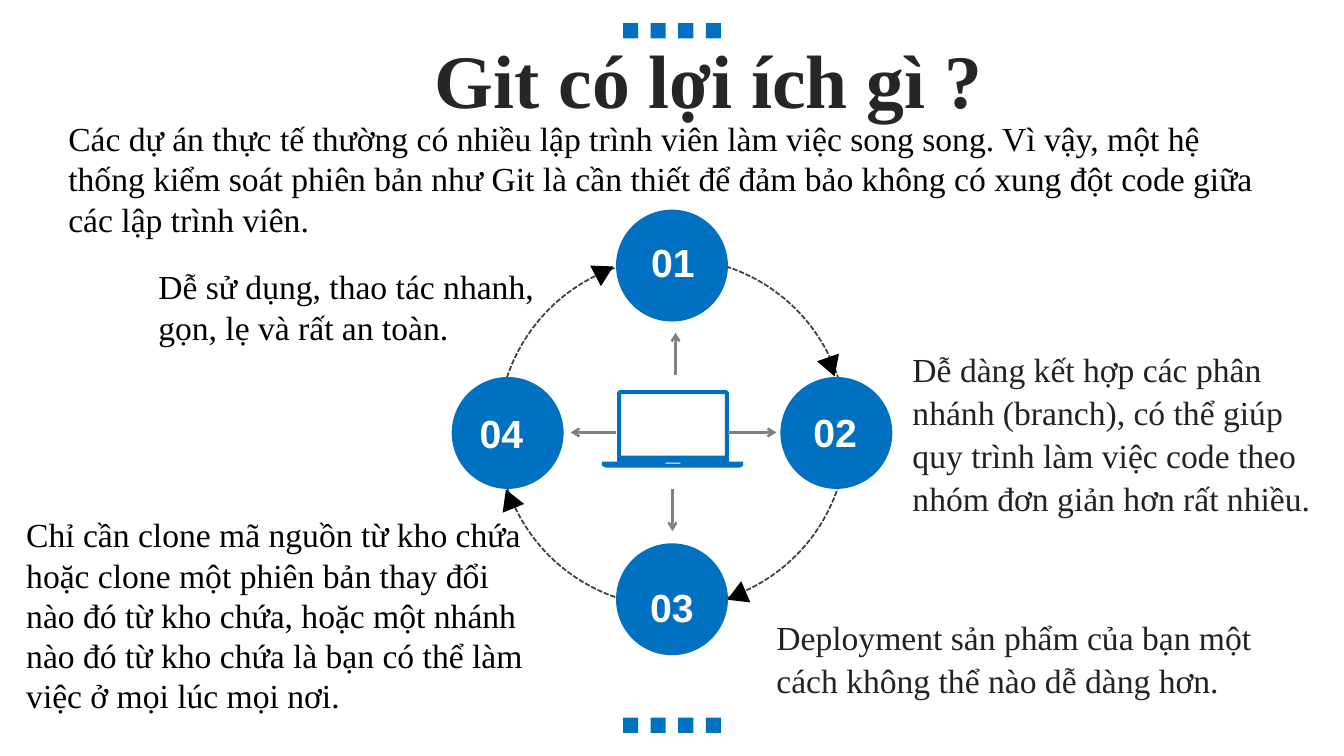
from dataclasses import dataclass

from lxml.etree import SubElement
from pptx import Presentation
from pptx.dml.color import RGBColor
from pptx.enum.dml import MSO_LINE
from pptx.enum.shapes import MSO_CONNECTOR, MSO_SHAPE
from pptx.enum.text import MSO_ANCHOR, PP_ALIGN
from pptx.oxml.ns import qn
from pptx.shapes.autoshape import Shape
from pptx.slide import Slide
from pptx.util import Inches, Pt

BLUE = "0070C0"
BLACK = "000000"
WHITE = "FFFFFF"
DARK = "222222"
SERIF = "Times New Roman"


@dataclass(frozen=True)
class TextBlock:
    text: str
    left: float
    top: float
    width: float
    height: float
    color: str = BLACK
    size: int = 24
    font: str = SERIF
    bold: bool = False
    inset: float = 0
    line_spacing: float = 1.0
    alignment: PP_ALIGN = PP_ALIGN.LEFT
    anchor: MSO_ANCHOR = MSO_ANCHOR.TOP


@dataclass(frozen=True)
class Step:
    number: str
    left: float
    top: float
    label_left: float
    label_top: float


@dataclass(frozen=True)
class RingArrowhead:
    left: float
    top: float
    rotation: float


@dataclass(frozen=True)
class Arrow:
    start: tuple[float, float]
    end: tuple[float, float]


STEPS = [
    Step("01", 6.11, 2.08, 6.36, 2.32),
    Step("02", 7.74, 3.74, 7.97, 4.0),
    Step("03", 6.11, 5.39, 6.35, 5.74),
    Step("04", 4.48, 3.74, 4.66, 4.01),
]

RING_ARROWHEADS = [
    RingArrowhead(5.88, 2.59, 62.3),
    RingArrowhead(8.13, 3.54, 160.7),
    RingArrowhead(7.19, 5.81, 246.7),
    RingArrowhead(4.94, 4.85, 338),
]

ARROWS = [
    Arrow((6.7, 3.72), (6.7, 3.3)),
    Arrow((6.67, 4.85), (6.67, 5.27)),
    Arrow((6.11, 4.29), (5.66, 4.29)),
    Arrow((7.22, 4.29), (7.7, 4.29)),
]

LAPTOP_BODY = [
    (6.15, 3.87), (7.2, 3.87), (7.22, 3.88), (7.23, 3.9), (7.23, 4.58),
    (7.37, 4.58), (7.37, 4.62), (7.34, 4.64), (6.01, 4.64), (5.97, 4.62),
    (5.97, 4.58), (6.12, 4.58), (6.12, 3.9), (6.13, 3.88),
]
LAPTOP_SCREEN = [(6.16, 3.91), (6.16, 4.52), (7.19, 4.52), (7.19, 3.91)]
LAPTOP_SLOT = [(6.6, 4.59), (6.6, 4.6), (6.75, 4.6), (6.75, 4.59)]

TEXT_BLOCKS = [
    TextBlock("Git có lợi ích gì ?", 0.7, 0.44, 12.66, 0.79, "262626", 54, bold=True,
              inset=0.1, line_spacing=0.9, alignment=PP_ALIGN.CENTER,
              anchor=MSO_ANCHOR.MIDDLE),
    TextBlock("Các dự án thực tế thường có nhiều lập trình viên làm việc song song. "
              "Vì vậy, một hệ thống kiểm soát phiên bản như Git là cần thiết để đảm bảo "
              "không có xung đột code giữa các lập trình viên.",
              0.58, 1.12, 12.24, 1.31, inset=0.1),
    TextBlock("Dễ sử dụng, thao tác nhanh, gọn, lẹ và rất an toàn.", 1.57, 2.64, 3.87, 0.81),
    TextBlock("Chỉ cần clone mã nguồn từ kho chứa hoặc clone một phiên bản thay đổi nào đó "
              "từ kho chứa, hoặc một nhánh nào đó từ kho chứa là bạn có thể làm việc ở mọi "
              "lúc mọi nơi.", 0.26, 5.1, 5.11, 2.02),
    TextBlock("Dễ dàng kết hợp các phân nhánh (branch), có thể giúp quy trình làm việc code "
              "theo nhóm đơn giản hơn rất nhiều.", 9.05, 3.43, 4.05, 1.73, DARK,
              line_spacing=1.07),
    TextBlock("Deployment sản phẩm của bạn một cách không thể nào dễ dàng hơn.",
              7.7, 6.09, 5.08, 0.86, DARK, line_spacing=1.07),
]


def rgb(color: str) -> RGBColor:
    return RGBColor.from_string(color)


def fill_plain(shape: Shape, color: str) -> None:
    shape.shadow.inherit = False
    shape.fill.solid()
    shape.fill.fore_color.rgb = rgb(color)
    shape.line.fill.background()


def add_filled(slide: Slide, kind: MSO_SHAPE, left: float, top: float,
               width: float, height: float, color: str) -> Shape:
    shape = slide.shapes.add_shape(
        kind, Inches(left), Inches(top), Inches(width), Inches(height))
    fill_plain(shape, color)
    return shape


def add_text(slide: Slide, block: TextBlock) -> None:
    shape = slide.shapes.add_textbox(
        Inches(block.left), Inches(block.top), Inches(block.width), Inches(block.height))
    frame = shape.text_frame
    frame.word_wrap = True
    frame.vertical_anchor = block.anchor
    frame.margin_left = frame.margin_right = Inches(block.inset)
    frame.margin_top = frame.margin_bottom = Inches(block.inset / 2)
    paragraph = frame.paragraphs[0]
    paragraph.text = block.text
    paragraph.alignment = block.alignment
    paragraph.line_spacing = block.line_spacing
    paragraph.font.name = block.font
    paragraph.font.size = Pt(block.size)
    paragraph.font.bold = block.bold
    paragraph.font.color.rgb = rgb(block.color)


def add_ring(slide: Slide) -> None:
    ring = add_filled(slide, MSO_SHAPE.OVAL, 4.94, 2.56, 3.46, 3.46, WHITE)
    ring.fill.background()
    ring.line.color.rgb = rgb("404040")
    ring.line.width = Pt(1.25)
    ring.line.dash_style = MSO_LINE.SQUARE_DOT
    for head in RING_ARROWHEADS:
        triangle = add_filled(slide, MSO_SHAPE.ISOSCELES_TRIANGLE,
                              head.left, head.top, 0.23, 0.2, BLACK)
        triangle.rotation = head.rotation


def add_laptop(slide: Slide) -> None:
    body, screen, slot = (
        [(Inches(x), Inches(y)) for x, y in outline]
        for outline in (LAPTOP_BODY, LAPTOP_SCREEN, LAPTOP_SLOT))
    builder = slide.shapes.build_freeform(*body[0])
    builder.add_line_segments(body[1:], close=True)
    for hole in (screen, slot):
        builder.move_to(*hole[0])
        builder.add_line_segments(hole[1:], close=True)
    fill_plain(builder.convert_to_shape(), BLUE)


def add_arrow(slide: Slide, arrow: Arrow) -> None:
    points = [Inches(value) for value in (*arrow.start, *arrow.end)]
    connector = slide.shapes.add_connector(MSO_CONNECTOR.STRAIGHT, *points)
    connector.line.color.rgb = rgb("808080")
    connector.line.width = Pt(1.75)
    properties = connector._element.spPr
    SubElement(properties.find(qn("a:ln")), qn("a:tailEnd"), type="arrow")
    SubElement(properties, qn("a:effectLst"))


def main() -> None:
    presentation = Presentation()
    presentation.slide_width = Inches(13.33)
    presentation.slide_height = Inches(7.5)
    slide = presentation.slides.add_slide(presentation.slide_layouts[6])

    for top in (0.23, 7.12):
        for column in range(4):
            add_filled(slide, MSO_SHAPE.RECTANGLE, 6.18 + column * 0.82 / 3, top,
                       0.15, 0.15, BLUE)
    add_ring(slide)
    for step in STEPS:
        add_filled(slide, MSO_SHAPE.OVAL, step.left, step.top, 1.11, 1.11, BLUE)
        add_text(slide, TextBlock(step.number, step.label_left, step.label_top, 0.8, 0.57,
                                  WHITE, 28, "Arial", bold=True, inset=0.1))
    add_laptop(slide)
    for arrow in ARROWS:
        add_arrow(slide, arrow)
    for block in TEXT_BLOCKS:
        add_text(slide, block)

    presentation.save("out.pptx")


if __name__ == "__main__":
    main()
